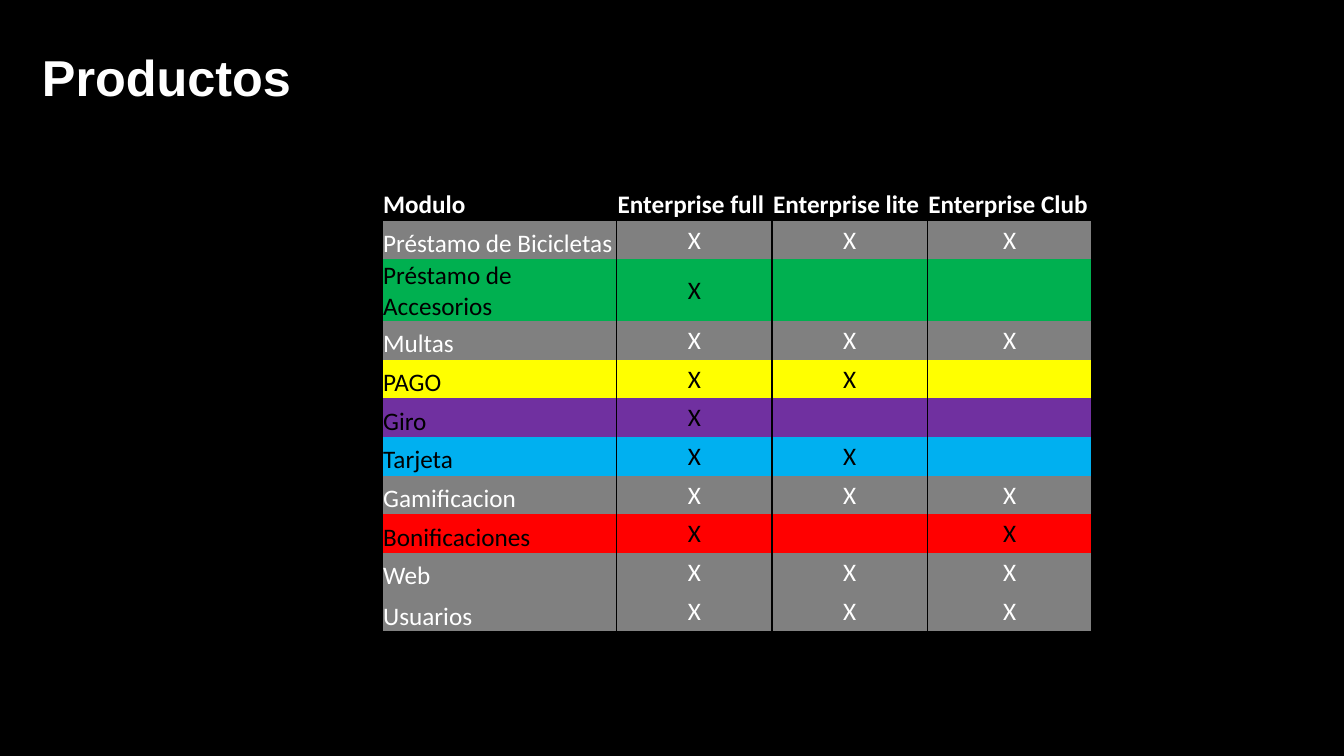
from lxml import etree
from pptx import Presentation
from pptx import util as u
from pptx.dml.color import RGBColor
from pptx.enum import text
from pptx.oxml import ns

THEME = {
    "black": "000000", "white": "FFFFFF", "gray": "808080", "green": "00B050",
    "yellow": "FFFF00", "purple": "7030A0", "blue": "00B0F0", "red": "FF0000",
    "title": {"name": "Arial", "size": u.Pt(36), "bold": True},
    "header": {"name": "Calibri", "size": u.Pt(18), "bold": True},
    "body": {"name": "Calibri", "size": u.Pt(18), "bold": False},
}
NO_STYLE = "{2D5ABB26-0587-4C30-8999-92F81FD0307C}"
COLUMN_WIDTHS = [167.5, 111, 111, 117.4]
# Row fill, text colour, cell texts
ROWS = [
    ("black", "white", ["Modulo", "Enterprise full", "Enterprise lite", "Enterprise Club"]),
    ("gray", "white", ["Préstamo de Bicicletas", "X", "X", "X"]),
    ("green", "black", ["Préstamo de Accesorios", "X", "", ""]),
    ("gray", "white", ["Multas", "X", "X", "X"]),
    ("yellow", "black", ["PAGO", "X", "X", ""]),
    ("purple", "black", ["Giro", "X", "", ""]),
    ("blue", "black", ["Tarjeta", "X", "X", ""]),
    ("gray", "white", ["Gamificacion", "X", "X", "X"]),
    ("red", "black", ["Bonificaciones", "X", "", "X"]),
    ("gray", "white", ["Web", "X", "X", "X"]),
    ("gray", "white", ["Usuarios", "X", "X", "X"]),
]
LAST = len(ROWS) - 1


def write(paragraph, words, style, color):
    run = paragraph.add_run()
    run.text = words
    for name, value in THEME[style].items():
        setattr(run.font, name, value)
    run.font.color.rgb = RGBColor.from_string(THEME[color])


def set_borders(cell, widths):
    """Draw black borders; widths maps L, R, T, B, in that order, to points."""
    properties = cell._tc.get_or_add_tcPr()
    for position, (side, width) in enumerate(widths.items()):
        line = etree.Element(ns.qn(f"a:ln{side}"), w=str(u.Pt(width)))
        fill = etree.SubElement(line, ns.qn("a:solidFill"))
        etree.SubElement(fill, ns.qn("a:srgbClr"), val=THEME["black"])
        properties.insert(position, line)


presentation = Presentation()
presentation.slide_width, presentation.slide_height = u.Pt(960), u.Pt(540)
slide = presentation.slides.add_slide(presentation.slide_layouts[6])
slide.background.fill.solid()
slide.background.fill.fore_color.rgb = RGBColor.from_string(THEME["black"])

title = slide.shapes.add_textbox(0, 0, u.Pt(960), u.Pt(76)).text_frame
title_format = {
    "word_wrap": True, "vertical_anchor": text.MSO_ANCHOR.BOTTOM,
    "margin_left": u.Pt(30), "margin_right": 0, "margin_top": 0, "margin_bottom": 0,
}
for name, value in title_format.items():
    setattr(title, name, value)
write(title.paragraphs[0], "Productos", "title", "white")

frame = slide.shapes.add_table(
    len(ROWS), len(COLUMN_WIDTHS), u.Pt(273), u.Pt(130), u.Pt(sum(COLUMN_WIDTHS)), u.Pt(305.3))
table = frame.table
table.first_row = table.horz_banding = False
table._tbl.tblPr.find(ns.qn("a:tableStyleId")).text = NO_STYLE
for column, width in zip(table.columns, COLUMN_WIDTHS):
    column.width = u.Pt(width)

cell_margins = {
    "margin_left": u.Pt(0.7), "margin_right": u.Pt(0.7),
    "margin_top": u.Pt(0.7), "margin_bottom": 0,
}
for row_index, (fill, color, words) in enumerate(ROWS):
    table.rows[row_index].height = u.Pt(28.8 if row_index == LAST else 27.65)
    borders = {"L": 1, "R": 1}
    if row_index == 0:
        borders |= {"T": 1, "B": 0.5}
    elif row_index == LAST:
        borders |= {"B": 1}
    for column_index, word in enumerate(words):
        cell = table.cell(row_index, column_index)
        is_mark = row_index > 0 and column_index > 0
        for name, value in cell_margins.items():
            setattr(cell, name, value)
        cell.vertical_anchor = text.MSO_ANCHOR.MIDDLE if is_mark else text.MSO_ANCHOR.BOTTOM
        cell.fill.solid()
        cell.fill.fore_color.rgb = RGBColor.from_string(THEME[fill])
        set_borders(cell, borders)
        paragraph = cell.text_frame.paragraphs[0]
        paragraph.alignment = text.PP_ALIGN.CENTER if is_mark else text.PP_ALIGN.LEFT
        if word:
            write(paragraph, word, "body" if row_index else "header", color)

presentation.save("out.pptx")
